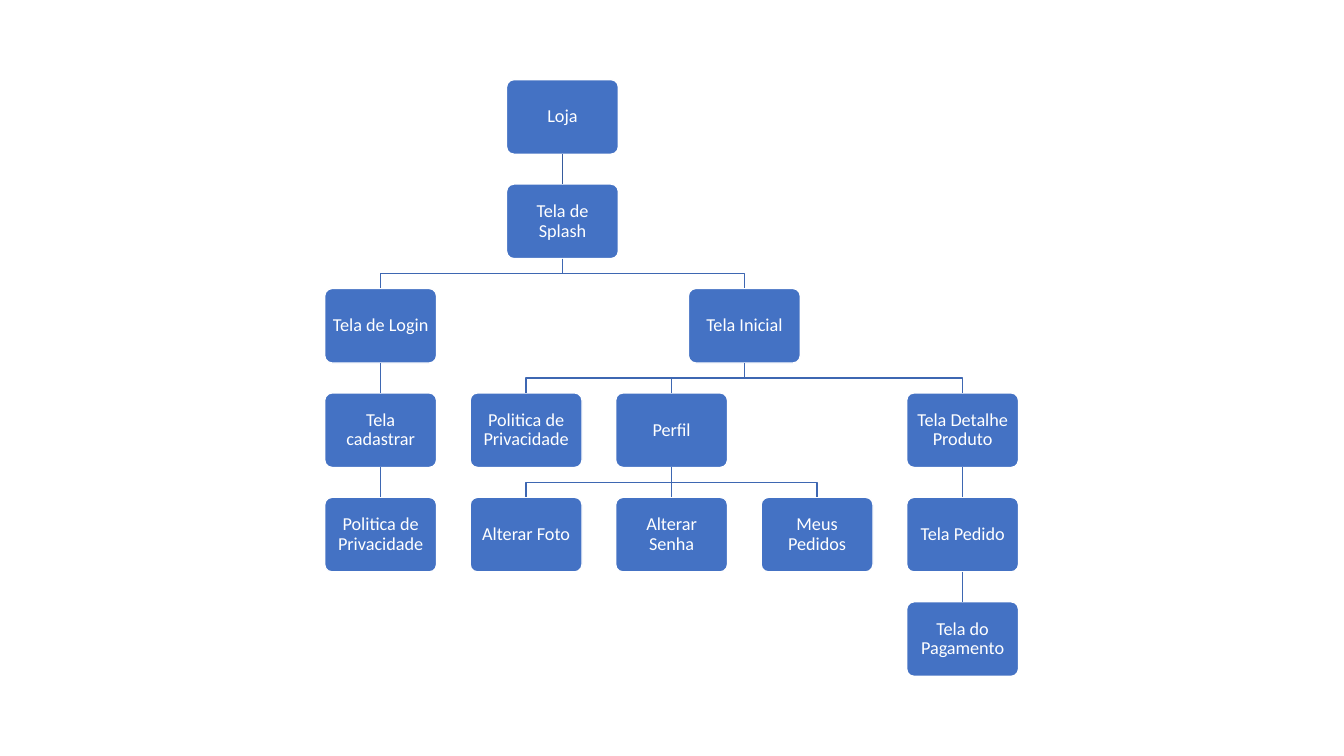
import collections
import dataclasses

import pptx
import pptx.dml.color
import pptx.enum.shapes
import pptx.enum.text
import pptx.shapes.autoshape
import pptx.slide
import pptx.util
from lxml import etree

RGBColor = pptx.dml.color.RGBColor
WHITE = RGBColor(0xFF, 0xFF, 0xFF)
BOX_BLUE = RGBColor(0x44, 0x72, 0xC4)
ROOT_LINK_BLUE = RGBColor(0x36, 0x5B, 0x9D)
LINK_BLUE = RGBColor(0x3E, 0x67, 0xB2)

Inches = pptx.util.Inches
Pt = pptx.util.Pt

# Grid of the tree: first box, pitch of columns and rows, box size
LEFT, TOP = Inches(3.22), Inches(0.79)
BOX_WIDTH, BOX_HEIGHT = Inches(1.11), Inches(0.74)
COLUMN, ROW = round(BOX_WIDTH * 1.3), round(BOX_HEIGHT * 1.4)
SIDE_MARGIN, END_MARGIN = Inches(0.05), Inches(0.07)
DRAWING_NS = "http://schemas.openxmlformats.org/drawingml/2006/main"


@dataclasses.dataclass
class Screen:
    title: str
    children: list["Screen"] = dataclasses.field(default_factory=list)
    column: float = 0
    row: int = 0


SITE_MAP = Screen("Loja", [
    Screen("Tela de Splash", [
        Screen("Tela de Login", [
            Screen("Tela cadastrar", [Screen("Politica de Privacidade")]),
        ]),
        Screen("Tela Inicial", [
            Screen("Politica de Privacidade"),
            Screen("Perfil", [
                Screen("Alterar Foto"),
                Screen("Alterar Senha"),
                Screen("Meus Pedidos"),
            ]),
            Screen("Tela Detalhe Produto", [
                Screen("Tela Pedido", [Screen("Tela do Pagamento")]),
            ]),
        ]),
    ]),
])


def shift(screen: Screen, distance: float, next_free: dict[int, float]) -> None:
    """Move a subtree to the right and mark its columns as taken."""
    screen.column += distance
    next_free[screen.row] = screen.column + 1
    for child in screen.children:
        shift(child, distance, next_free)


def place(screen: Screen, next_free: dict[int, float], row: int = 0) -> None:
    """Centre parents over children, packing every row from the left."""
    screen.row = row
    for child in screen.children:
        place(child, next_free, row + 1)
    if screen.children:
        screen.column = (screen.children[0].column + screen.children[-1].column) / 2
    shift(screen, max(0, next_free[row] - screen.column), next_free)


def draw_box(page: pptx.slide.Slide, screen: Screen) -> pptx.shapes.autoshape.Shape:
    box = page.shapes.add_shape(
        pptx.enum.shapes.MSO_SHAPE.ROUNDED_RECTANGLE,
        round(LEFT + screen.column * COLUMN), TOP + screen.row * ROW,
        BOX_WIDTH, BOX_HEIGHT)
    box.adjustments[0] = 0.1
    box.shadow.inherit = False
    box.fill.solid()
    box.fill.fore_color.rgb = BOX_BLUE
    box.line.color.rgb = WHITE
    box.line.width = Pt(1)

    frame = box.text_frame
    frame.text = screen.title
    frame.word_wrap = True
    frame.vertical_anchor = pptx.enum.text.MSO_ANCHOR.MIDDLE
    frame.margin_left = frame.margin_right = SIDE_MARGIN
    frame.margin_top = frame.margin_bottom = END_MARGIN
    para = frame.paragraphs[0]
    para.alignment = pptx.enum.text.PP_ALIGN.CENTER
    para.line_spacing = 0.9
    span = para.runs[0]
    span.font.name = "Calibri"
    span.font.size = Pt(13)
    span.font.color.rgb = WHITE
    return box


def draw_link(page: pptx.slide.Slide, parent: pptx.shapes.autoshape.Shape,
              child: pptx.shapes.autoshape.Shape, color: RGBColor) -> None:
    start_x, end_x = (box.left + box.width // 2 for box in (parent, child))
    start_y, end_y = parent.top + parent.height, child.top
    if start_x == end_x:
        link = page.shapes.add_connector(
            pptx.enum.shapes.MSO_CONNECTOR.STRAIGHT, start_x, start_y, end_x, end_y)
        link.begin_connect(parent, 2)
        link.end_connect(child, 0)
        etree.SubElement(link._element.spPr, f"{{{DRAWING_NS}}}effectLst")
    else:
        middle_y = (start_y + end_y) // 2
        builder = page.shapes.build_freeform(start_x, start_y)
        builder.add_line_segments(
            [(start_x, middle_y), (end_x, middle_y), (end_x, end_y)], close=False)
        link = builder.convert_to_shape()
        link.fill.background()
        link.shadow.inherit = False
    link.line.color.rgb = color
    link.line.width = Pt(1)


def draw_tree(page: pptx.slide.Slide, screen: Screen) -> pptx.shapes.autoshape.Shape:
    box = draw_box(page, screen)
    color = LINK_BLUE if screen.row else ROOT_LINK_BLUE
    for child in screen.children:
        draw_link(page, box, draw_tree(page, child), color)
    return box


# Deck and page
deck = pptx.Presentation()
deck.slide_width, deck.slide_height = Inches(13.33), Inches(7.5)
page = deck.slides.add_slide(deck.slide_layouts[6])

# Site map
place(SITE_MAP, collections.defaultdict(float))
draw_tree(page, SITE_MAP)

deck.save("out.pptx")
